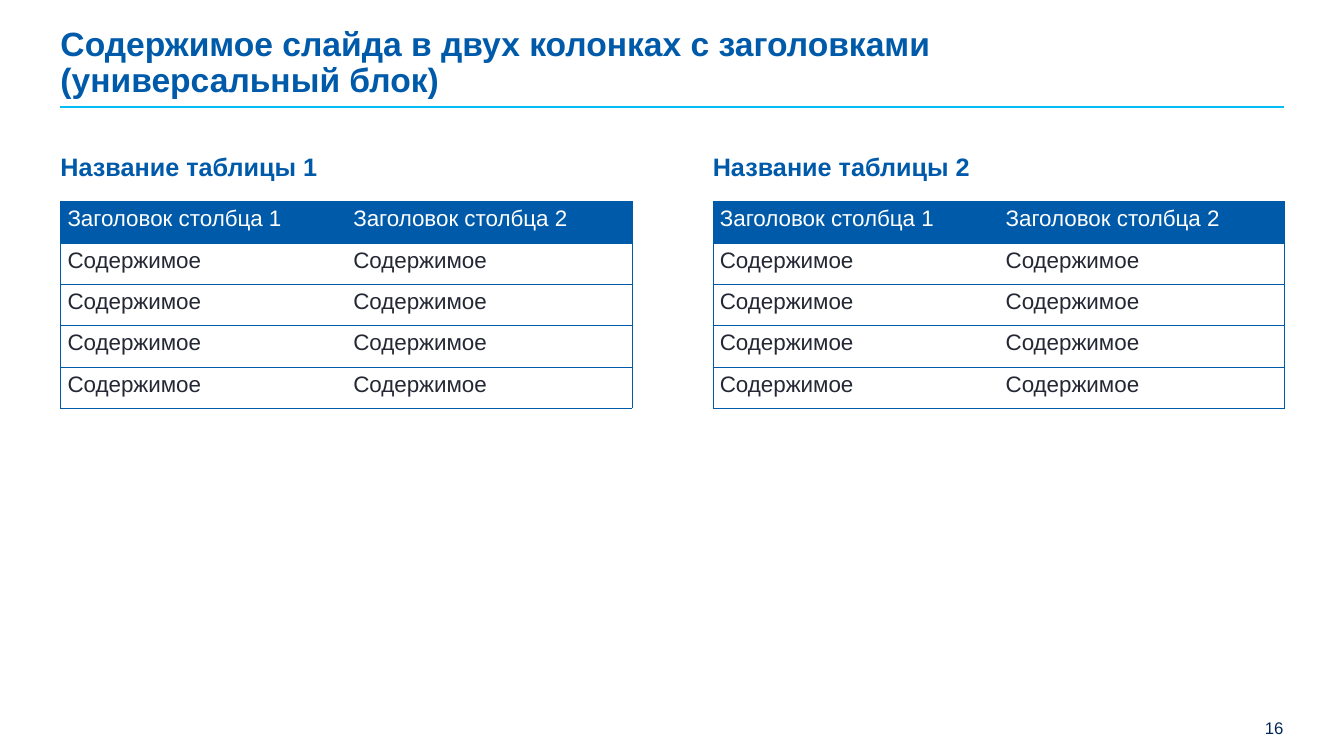
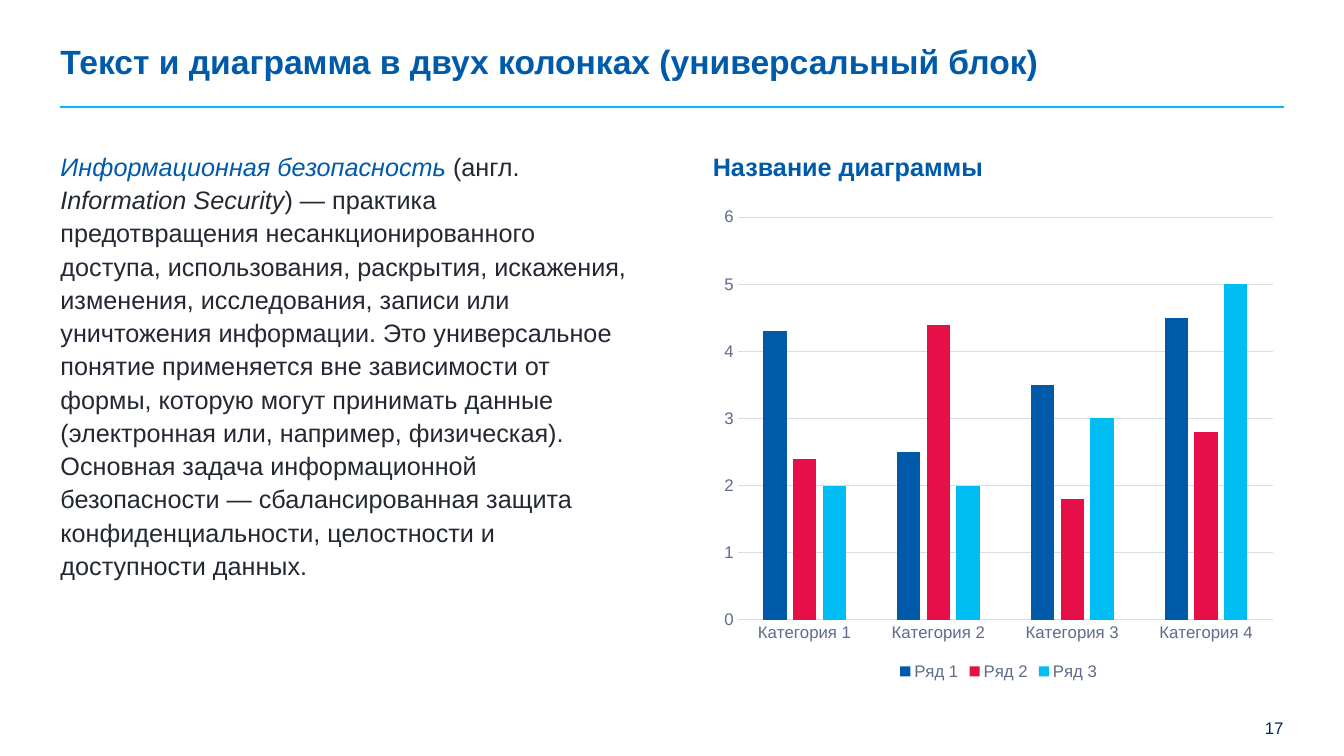
from lxml import etree
from pptx import Presentation
from pptx.chart.data import CategoryChartData
from pptx.dml.color import RGBColor
from pptx.enum import chart as charts, shapes, text
from pptx.oxml import ns
from pptx.util import Inches, Pt

FONT = "Arial"
COLORS = {
    "blue": "005AAA", "cyan": "00BEF3", "red": "E70F47", "navy": "002856",
    "text": "242834", "axis": "606B8B", "grid": "DADCE5", "white": "FFFFFF",
}
# Two-column grid
LEFT, RIGHT, COLUMN_WIDTH = 0.6, 12.73, 5.67
COLUMNS = (LEFT, 7.07)
HEADING_TOP, HEADING_HEIGHT = 1.47, 0.5
ROW_HEIGHT = 0.41


def color(name):
    return RGBColor.from_string(COLORS[name])


def set_font(font, size, name, bold=False, italic=False):
    font.name, font.size = FONT, Pt(size)
    font.bold, font.italic = bold, italic
    font.color.rgb = color(name)


def place(shape, left, top, width, height):
    shape.left, shape.top = Inches(left), Inches(top)
    shape.width, shape.height = Inches(width), Inches(height)


def clear_margins(frame):
    frame.word_wrap = True
    frame.margin_left = frame.margin_right = 0
    frame.margin_top = frame.margin_bottom = 0


def add_text(slide, box, runs, size, align=text.PP_ALIGN.LEFT, spacing=1.0):
    """Add one paragraph; each run is (text, color, bold, italic)."""
    shape = slide.shapes.add_textbox(*map(Inches, box))
    clear_margins(shape.text_frame)
    paragraph = shape.text_frame.paragraphs[0]
    paragraph.alignment, paragraph.line_spacing = align, spacing
    for content, name, bold, italic in runs:
        run = paragraph.add_run()
        run.text = content
        set_font(run.font, size, name, bold, italic)


def add_base_slide(presentation, title, number):
    slide = presentation.slides.add_slide(presentation.slide_layouts[5])
    # Rule under the title
    rule = slide.shapes.add_connector(
        shapes.MSO_CONNECTOR.STRAIGHT,
        Inches(LEFT), Inches(1.06), Inches(RIGHT), Inches(1.06))
    rule.line.color.rgb = color("cyan")
    rule.line.width = Pt(1.25)
    etree.SubElement(rule._element.spPr, ns.qn("a:effectLst"))
    # Title
    place(slide.shapes.title, LEFT, 0.45, 10.51, 0.36)
    frame = slide.shapes.title.text_frame
    frame.text = title
    clear_margins(frame)
    frame.vertical_anchor = text.MSO_ANCHOR.MIDDLE
    frame.auto_size = text.MSO_AUTO_SIZE.SHAPE_TO_FIT_TEXT
    paragraph = frame.paragraphs[0]
    paragraph.alignment, paragraph.line_spacing = text.PP_ALIGN.LEFT, 0.9
    set_font(paragraph.runs[0].font, 24, "blue", bold=True)
    # Slide number
    add_text(slide, (RIGHT - 2.66, 7.12, 2.66, 0.2),
             [(str(number), "navy", False, False)], 12, text.PP_ALIGN.RIGHT)
    return slide


def add_heading(slide, left, heading):
    add_text(slide, (left, HEADING_TOP, COLUMN_WIDTH, HEADING_HEIGHT),
             [(heading, "blue", True, False)], 18, spacing=1.1)


def set_borders(cell, sides):
    """Draw the named sides (of L, R, T, B) and blank the others."""
    properties = cell._tc.get_or_add_tcPr()
    for index, side in enumerate("LRTB"):
        line = etree.Element(ns.qn(f"a:ln{side}"), w=str(Pt(0.5)))
        if side in sides:
            fill = etree.SubElement(line, ns.qn("a:solidFill"))
            etree.SubElement(fill, ns.qn("a:srgbClr"), val=COLORS["blue"])
        else:
            etree.SubElement(line, ns.qn("a:noFill"))
        properties.insert(index, line)


def add_data_table(slide, left, top, rows):
    column_count = len(rows[0])
    table = slide.shapes.add_table(
        len(rows), column_count, Inches(left), Inches(top),
        Inches(COLUMN_WIDTH), Inches(ROW_HEIGHT * len(rows))).table
    table.horz_banding = False
    for row_index, row in enumerate(rows):
        for column_index, content in enumerate(row):
            cell = table.cell(row_index, column_index)
            cell.text = content
            cell.margin_left = cell.margin_right = Inches(0.07)
            is_header = row_index == 0
            set_font(cell.text_frame.paragraphs[0].runs[0].font, 16,
                     "white" if is_header else "text")
            if is_header:
                cell.fill.solid()
                cell.fill.fore_color.rgb = color("blue")
            else:
                cell.fill.background()
            sides = "TB"
            if column_index == 0:
                sides += "L"
            if column_index == column_count - 1:
                sides += "R"
            set_borders(cell, sides)


def add_column_chart(slide, box, categories, series):
    data = CategoryChartData()
    data.categories = categories
    for name, values, _ in series:
        data.add_series(name, values)
    chart = slide.shapes.add_chart(
        charts.XL_CHART_TYPE.COLUMN_CLUSTERED, *map(Inches, box), data).chart
    set_font(chart.font, 12, "axis")
    chart.has_title = False
    # Legend
    chart.has_legend = True
    chart.legend.position = charts.XL_LEGEND_POSITION.BOTTOM
    chart.legend.include_in_layout = False
    set_font(chart.legend.font, 12, "axis")
    # Axes
    for axis in (chart.category_axis, chart.value_axis):
        axis.major_tick_mark = axis.minor_tick_mark = charts.XL_TICK_MARK.NONE
        set_font(axis.tick_labels.font, 12, "axis")
    chart.value_axis.format.line.fill.background()
    chart.value_axis.has_major_gridlines = True
    for line in (chart.category_axis.format.line,
                 chart.value_axis.major_gridlines.format.line):
        line.color.rgb = color("grid")
        line.width = Pt(0.75)
    # Columns
    plot = chart.plots[0]
    plot.gap_width, plot.overlap, plot.vary_by_categories = 219, -27, False
    for plotted, (_, _, name) in zip(plot.series, series):
        plotted.format.fill.solid()
        plotted.format.fill.fore_color.rgb = color(name)
        plotted.invert_if_negative = False


def add_tables_slide(presentation):
    slide = add_base_slide(
        presentation,
        "Содержимое слайда в двух колонках с заголовками (универсальный блок)", 16)
    rows = [("Заголовок столбца 1", "Заголовок столбца 2")]
    rows += [("Содержимое", "Содержимое")] * 4
    for number, left in enumerate(COLUMNS, 1):
        add_heading(slide, left, f"Название таблицы {number}")
        add_data_table(slide, left, 2, rows)


def add_chart_slide(presentation):
    slide = add_base_slide(
        presentation, "Текст и диаграмма в двух колонках (универсальный блок)", 17)
    # Definition
    add_text(slide, (LEFT, HEADING_TOP, COLUMN_WIDTH, 5.51), [
        ("Информационная безопасность ", "blue", False, True),
        ("(англ. ", "text", False, False),
        ("Information Security", "text", False, True),
        (") — практика предотвращения несанкционированного доступа, "
         "использования, раскрытия, искажения, изменения, исследования, "
         "записи или уничтожения информации. Это универсальное понятие "
         "применяется вне зависимости от формы, которую могут принимать "
         "данные (электронная или, например, физическая). Основная задача "
         "информационной безопасности — сбалансированная защита "
         "конфиденциальности, целостности и доступности данных.",
         "text", False, False),
    ], 18, spacing=1.1)
    # Chart
    add_heading(slide, COLUMNS[1], "Название диаграммы")
    add_column_chart(
        slide, (COLUMNS[1], 1.97, COLUMN_WIDTH, 4.82),
        [f"Категория {number}" for number in range(1, 5)],
        [("Ряд 1", (4.3, 2.5, 3.5, 4.5), "blue"),
         ("Ряд 2", (2.4, 4.4, 1.8, 2.8), "red"),
         ("Ряд 3", (2, 2, 3, 5), "cyan")])


def main():
    presentation = Presentation()
    presentation.slide_width = Inches(13.33)
    presentation.slide_height = Inches(7.5)
    add_tables_slide(presentation)
    add_chart_slide(presentation)
    presentation.save("out.pptx")


if __name__ == "__main__":
    main()
